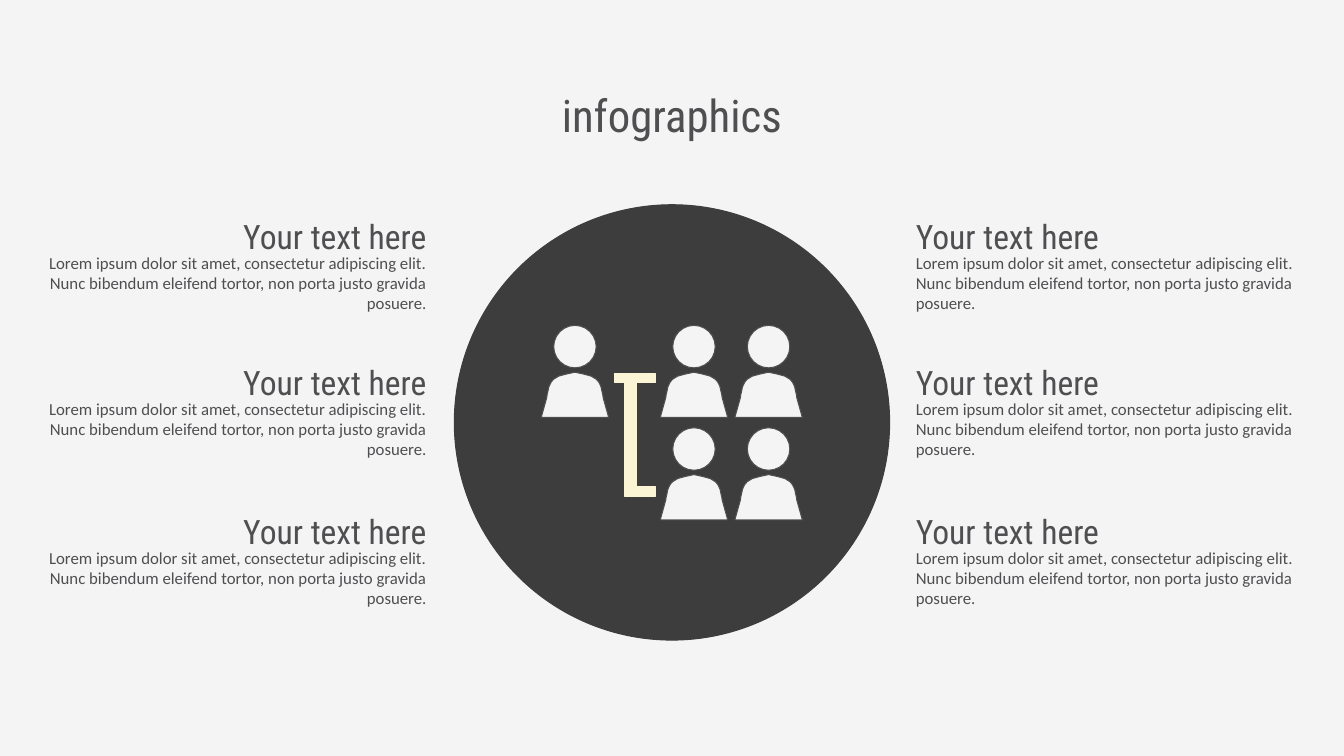
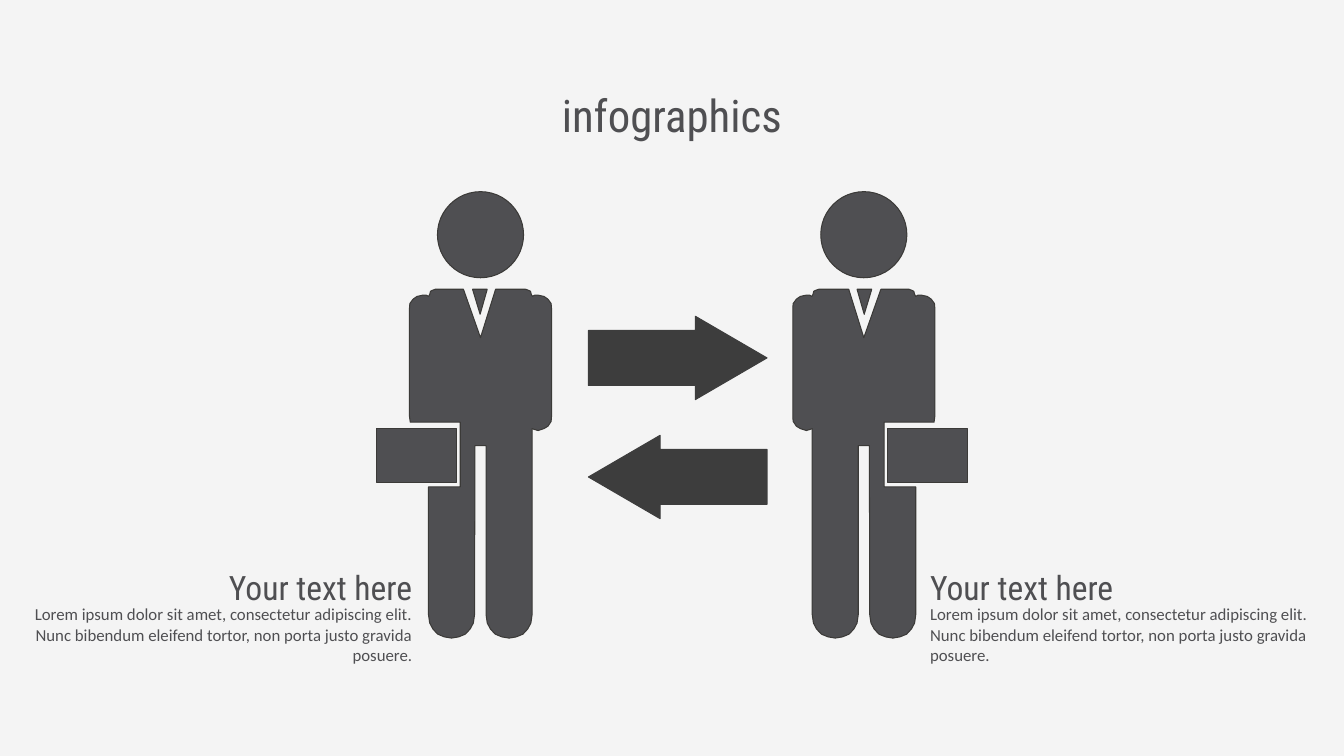
from pptx import Presentation
from pptx.dml.color import RGBColor
from pptx.enum.shapes import MSO_SHAPE
from pptx.enum.text import MSO_ANCHOR, MSO_AUTO_SIZE, PP_ALIGN
from pptx.util import Cm, Pt

COLORS = {
    "background": "F4F4F4",
    "text": "4F4F52",
    "dark": "3D3D3D",
    "outline": "3B3A38",
    "cream": "FBF5D5",
}
HEADING_FONT = "Roboto Condensed"
BODY_FONT = "Calibri"
HEADING = "Your text here"
BODY = (
    "Lorem ipsum dolor sit amet, consectetur adipiscing elit. "
    "Nunc bibendum eleifend tortor, non porta justo gravida posuere."
)


def paint(shape, fill, line):
    """Give a shape a plain fill and a hairline, without a shadow."""
    shape.shadow.inherit = False
    shape.fill.solid()
    shape.fill.fore_color.rgb = RGBColor.from_string(COLORS[fill])
    shape.line.color.rgb = RGBColor.from_string(COLORS[line])
    shape.line.width = Pt(0)


def add_outline(slide, points, fill, line, center=0, top=0, side=1):
    """Draw a closed outline from points in cm; side -1 mirrors it at center."""
    corners = [(Cm(center + side * x), Cm(top + y)) for x, y in points]
    builder = slide.shapes.build_freeform(*corners[0])
    builder.add_line_segments(corners[1:], close=True)
    paint(builder.convert_to_shape(), fill, line)


presentation = Presentation()
presentation.slide_width = Cm(33.87)
presentation.slide_height = Cm(19.05)
background = presentation.slide_master.background.fill
background.solid()
background.fore_color.rgb = RGBColor.from_string(COLORS["background"])

# Slides with their shared title
slides = []
for title_text in ("infographics", "infographics"):
    slide = presentation.slides.add_slide(presentation.slide_layouts[5])
    title = slide.shapes.title
    title.left, title.top, title.width, title.height = Cm(11.46), Cm(2.08), Cm(10.95), Cm(1.63)
    frame = title.text_frame
    frame.text = title_text
    frame.auto_size = MSO_AUTO_SIZE.NONE
    frame.vertical_anchor = MSO_ANCHOR.TOP
    paragraph = frame.paragraphs[0]
    paragraph.alignment = PP_ALIGN.CENTER
    paragraph.font.name = HEADING_FONT
    paragraph.font.size = Pt(32)
    paragraph.font.color.rgb = RGBColor.from_string(COLORS["text"])
    slides.append(slide)
team_slide, exchange_slide = slides

# Team in a circle
disc = team_slide.shapes.add_shape(MSO_SHAPE.OVAL, Cm(11.45), Cm(5.16), Cm(10.97), Cm(10.97))
paint(disc, "dark", "dark")

HEAD_SIZE = 1.07
half_bust = [
    (0, 0), (0.23, 0.05), (0.41, 0.1), (0.54, 0.18), (0.6, 0.25), (0.64, 0.33),
    (0.66, 0.38), (0.68, 0.48), (0.7, 0.56), (0.71, 0.64), (0.85, 1.14),
]
bust = half_bust + [(-x, y) for x, y in reversed(half_bust[1:])]
for center, top in [(14.49, 8.2), (17.49, 8.2), (19.37, 8.2), (17.49, 10.78), (19.37, 10.78)]:
    head = team_slide.shapes.add_shape(
        MSO_SHAPE.OVAL, Cm(center - HEAD_SIZE / 2), Cm(top), Cm(HEAD_SIZE), Cm(HEAD_SIZE)
    )
    paint(head, "background", "text")
    add_outline(team_slide, bust, "background", "text", center, top + 1.18)

bracket = [
    (15.49, 9.42), (16.51, 9.42), (16.51, 9.65), (16.05, 9.65), (16.05, 12.27),
    (16.51, 12.27), (16.51, 12.5), (15.75, 12.5), (15.75, 9.65), (15.49, 9.65),
]
add_outline(team_slide, bracket, "cream", "cream")

# Two business people facing each other
shoulder = [
    (1.09, 7.29), (1.14, 7.29), (1.22, 7.32), (1.26, 7.34), (1.28, 7.42), (1.31, 7.47),
    (1.36, 7.44), (1.46, 7.44), (1.6, 7.47), (1.7, 7.54), (1.78, 7.65), (1.79, 7.77),
]
hand = [
    (1.79, 10.49), (1.78, 10.62), (1.7, 10.74), (1.6, 10.8), (1.45, 10.85),
    (1.35, 10.82), (1.3, 10.8),
]
half_foot = [
    (0.58, 15.49), (0.55, 15.7), (0.47, 15.85), (0.35, 15.98), (0.18, 16.05), (0, 16.08),
]
foot = half_foot + [(-x, y) for x, y in reversed(half_foot[:-1])]
suit = (
    [(-0.43, 7.29), (0, 8.51), (0.38, 7.29)]
    + shoulder
    + hand
    + [(x + 0.72, y) for x, y in foot]
    + [(0.14, 11.23), (-0.14, 11.23)]
    + [(x - 0.73, y) for x, y in foot]
    + [(-1.31, 12.27), (-0.51, 12.27), (-0.51, 10.64), (-1.77, 10.64), (-1.79, 10.49)]
    + [(-x, y) for x, y in reversed(shoulder)]
)
tie = [(-0.2, 7.29), (0.17, 7.29), (-0.01, 7.92)]
FACE_SIZE, CASE_WIDTH, CASE_HEIGHT = 2.17, 2.01, 1.35
for center, side in [(12.11, 1), (21.77, -1)]:
    face = exchange_slide.shapes.add_shape(
        MSO_SHAPE.OVAL, Cm(center - FACE_SIZE / 2), Cm(4.83), Cm(FACE_SIZE), Cm(FACE_SIZE)
    )
    paint(face, "text", "outline")
    for points in (tie, suit):
        add_outline(exchange_slide, points, "text", "outline", center, side=side)
    case_center = center - side * 1.61
    briefcase = exchange_slide.shapes.add_shape(
        MSO_SHAPE.RECTANGLE, Cm(case_center - CASE_WIDTH / 2), Cm(10.8),
        Cm(CASE_WIDTH), Cm(CASE_HEIGHT),
    )
    paint(briefcase, "text", "outline")

for kind, top in [(MSO_SHAPE.RIGHT_ARROW, 7.97), (MSO_SHAPE.LEFT_ARROW, 10.97)]:
    arrow = exchange_slide.shapes.add_shape(kind, Cm(14.83), Cm(top), Cm(4.5), Cm(2.1))
    arrow.adjustments[0] = 0.66
    arrow.adjustments[1] = 0.86
    paint(arrow, "dark", "dark")

# Text blocks beside the drawings
blocks = [
    (team_slide, left, top, alignment)
    for top in (5.31, 8.99, 12.75)
    for left, alignment in [(22.83, PP_ALIGN.LEFT), (0.61, PP_ALIGN.RIGHT)]
]
blocks += [
    (exchange_slide, 23.19, 14.17, PP_ALIGN.LEFT),
    (exchange_slide, 0.25, 14.17, PP_ALIGN.RIGHT),
]
for slide, left, top, alignment in blocks:
    for text, offset, height, font_name, size in [
        (BODY, 0.93, 1.8, BODY_FONT, 12),
        (HEADING, 0, 1.27, HEADING_FONT, 24),
    ]:
        box = slide.shapes.add_textbox(Cm(left), Cm(top + offset), Cm(10.39), Cm(height))
        frame = box.text_frame
        frame.word_wrap = True
        frame.auto_size = MSO_AUTO_SIZE.SHAPE_TO_FIT_TEXT
        frame.text = text
        paragraph = frame.paragraphs[0]
        paragraph.alignment = alignment
        paragraph.font.name = font_name
        paragraph.font.size = Pt(size)
        paragraph.font.color.rgb = RGBColor.from_string(COLORS["text"])

presentation.save("out.pptx")
